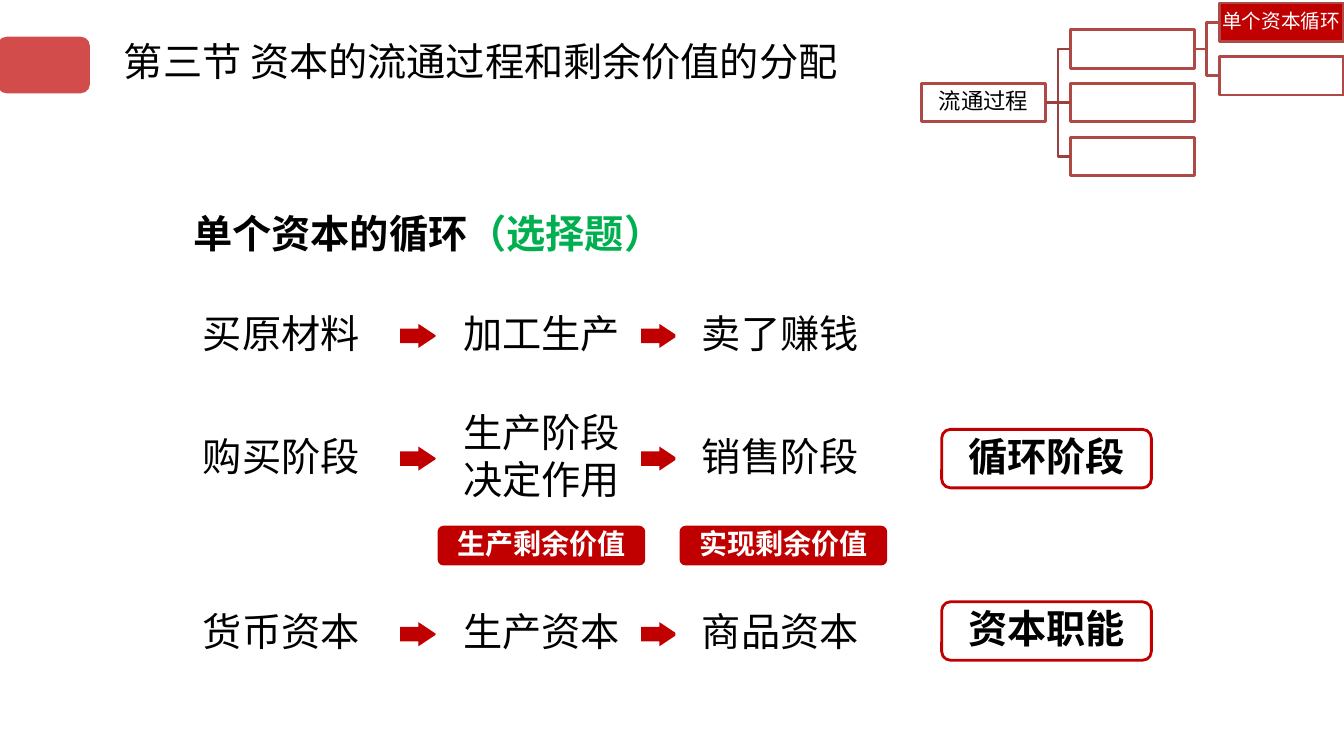
"""Build the slide on the circuit of an individual capital."""
import pptx
import pptx.util
import pptx.dml.color
import pptx.enum.shapes
import pptx.enum.text
import pptx.oxml
import pptx.oxml.ns

RGB = pptx.dml.color.RGBColor
RED = RGB(0xC0, 0x00, 0x00)
BRICK = RGB(0xAE, 0x49, 0x46)
RUST = RGB(0x9A, 0x40, 0x3E)
GREEN = RGB(0x00, 0xB0, 0x50)
BLACK = RGB(0x00, 0x00, 0x00)
WHITE = RGB(0xFF, 0xFF, 0xFF)

WIDE = pptx.util.Inches(13.33)
HIGH = pptx.util.Inches(7.5)
SANS = "Noto Sans CJK SC"
GOTHIC = "Noto Sans CJK JP"
KIND = pptx.enum.shapes.MSO_SHAPE
LINK = pptx.enum.shapes.MSO_CONNECTOR
ALIGN = pptx.enum.text.PP_ALIGN
ANCHOR = pptx.enum.text.MSO_ANCHOR

COLS = [(13.35, 15.15), (32.41, 15.75), (50.26, 15.6)]
ARROWS = [29.78, 47.71]
ROW_H = 7.73
FLOW = [
    (40.57, ["买原材料", "加工生产", "卖了赚钱"]),
    (56.8, ["购买阶段", "生产阶段\n决定作用", "销售阶段"]),
    (80.03, ["货币资本", "生产资本", "商品资本"]),
]
LABELS = [(56.8, "循环阶段"), (79.6, "资本职能")]
BADGES = [(32.56, "生产剩余价值"), (50.56, "实现剩余价值")]


def place(x, y, w, h):
    """Turn percentages of the slide into lengths."""
    return [int(side * part / 100) for side, part in
            ((WIDE, x), (HIGH, y), (WIDE, w), (HIGH, h))]


def add_box(slide, kind, area, fill=None, line=None, adjust=()):
    """Add a preset shape with plain fill and outline."""
    box = slide.shapes.add_shape(kind, *place(*area))
    box.shadow.inherit = False
    for i, share in enumerate(adjust):
        box.adjustments[i] = share
    if fill is None:
        box.fill.background()
    else:
        box.fill.solid()
        box.fill.fore_color.rgb = fill
    if line is None:
        box.line.fill.background()
    else:
        box.line.color.rgb = line
        box.line.width = pptx.util.Pt(2)
    return box


def write(box, text, size=28, hues=(BLACK,), font=GOTHIC, bold=False,
          align=ALIGN.CENTER, anchor=ANCHOR.MIDDLE, space=0.9, after=0,
          pad=(11.5, 11.5)):
    """Write lines split at newlines, with runs split at bars."""
    frame = box.text_frame
    frame.word_wrap = True
    frame.vertical_anchor = anchor
    frame.margin_left = frame.margin_right = pptx.util.Pt(pad[0])
    frame.margin_top = frame.margin_bottom = pptx.util.Pt(pad[1])
    for i, line in enumerate(text.split("\n")):
        para = frame.add_paragraph() if i else frame.paragraphs[0]
        para.alignment = align
        para.line_spacing = space
        para.space_after = pptx.util.Pt(after)
        for part, hue in zip(line.split("|"), hues):
            run = para.add_run()
            run.text = part
            run.font.size = pptx.util.Pt(size)
            run.font.bold = bold
            run.font.name = font
            run.font.color.rgb = hue
            east = pptx.oxml.ns.qn("a:ea")
            run.font._element.makeelement(east)
            node = pptx.oxml.parse_xml(
                '<a:ea %s typeface="%s"/>' % (pptx.oxml.ns.nsdecls("a"), font))
            run.font._element.append(node)


def add_text(slide, area, text, **style):
    """Add a left-aligned text box."""
    box = slide.shapes.add_textbox(*place(*area))
    write(box, text, font=SANS, align=ALIGN.LEFT, anchor=ANCHOR.TOP,
          pad=(7.2, 3.6), **style)


def add_node(slide, col, row, fill=WHITE):
    """Add a box of the tree at a column and row."""
    area = (68.57 + 11.07 * col, 0.4 + 3.55 * row, 9.23, 5.07)
    return add_box(slide, KIND.RECTANGLE, area, fill, BRICK)


def join(slide, start, end, hue):
    """Join the right side of one node to the left side of another."""
    kind = LINK.STRAIGHT if start.top == end.top else LINK.ELBOW
    link = slide.shapes.add_connector(kind, 0, 0, 0, 0)
    link.begin_connect(start, 3)
    link.end_connect(end, 1)
    link.line.color.rgb = hue
    link.line.width = pptx.util.Pt(2)
    link._element.spPr.append(pptx.oxml.parse_xml(
        "<a:effectLst %s/>" % pptx.oxml.ns.nsdecls("a")))


def add_tree(slide):
    """Draw the outline tree in the top right corner."""
    root = add_node(slide, 0, 3)
    twigs = [add_node(slide, 1, row) for row in (1, 3, 5)]
    leaves = [add_node(slide, 2, 0, RED), add_node(slide, 2, 2)]
    for twig in twigs:
        join(slide, root, twig, RUST)
    for leaf in leaves:
        join(slide, twigs[0], leaf, BRICK)
    write(root, "流通过程", size=16, font=SANS, pad=(0.7, 0.7))
    write(leaves[0], "单个资本循环", size=14, hues=(WHITE,), font=SANS,
          pad=(0.7, 0.7))


def add_flow(slide, top, steps):
    """Draw one row of steps with arrows between them."""
    for i, ((left, wide), step) in enumerate(zip(COLS, steps)):
        box = add_box(slide, KIND.ROUNDED_RECTANGLE,
                      (left, top, wide, ROW_H), WHITE)
        write(box, step, after=3.5)
        if i < len(ARROWS):
            area = (ARROWS[i], top + (ROW_H - 3.2) / 2, 2.7, 3.2)
            add_box(slide, KIND.RIGHT_ARROW, area, RED, adjust=(0.6, 0.75))


def main():
    """Build and save the slide."""
    deck = pptx.Presentation()
    deck.slide_width, deck.slide_height = WIDE, HIGH
    slide = deck.slides.add_slide(deck.slide_layouts[6])
    tab = add_box(slide, KIND.ROUNDED_RECTANGLE, (-0.2, 4.85, 6.9, 7.5), RED)
    hue = tab._element.spPr.find(".//" + pptx.oxml.ns.qn("a:srgbClr"))
    hue.append(pptx.oxml.parse_xml(
        '<a:alpha %s val="70000"/>' % pptx.oxml.ns.nsdecls("a")))
    add_tree(slide)
    add_text(slide, (13.65, 23.87, 64.37, 9.6), "单个资本的循环|（选择题）",
             hues=(BLACK, GREEN), bold=True, space=1.5)
    for top, steps in FLOW:
        add_flow(slide, top, steps)
    for top, text in LABELS:
        box = add_box(slide, KIND.ROUNDED_RECTANGLE,
                      (70.07, top, 15.6, ROW_H), line=RED, adjust=(0.15,))
        write(box, text, bold=True)
    for left, text in BADGES:
        box = add_box(slide, KIND.ROUNDED_RECTANGLE,
                      (left, 69.55, 15.45, 5.25), RED, adjust=(0.15,))
        write(box, text, size=20, hues=(WHITE,), bold=True)
    add_text(slide, (8.48, 4.93, 55.51, 9.47),
             "第三节 资本的流通过程和剩余价值的分配")
    deck.save("out.pptx")


if __name__ == "__main__":
    main()
